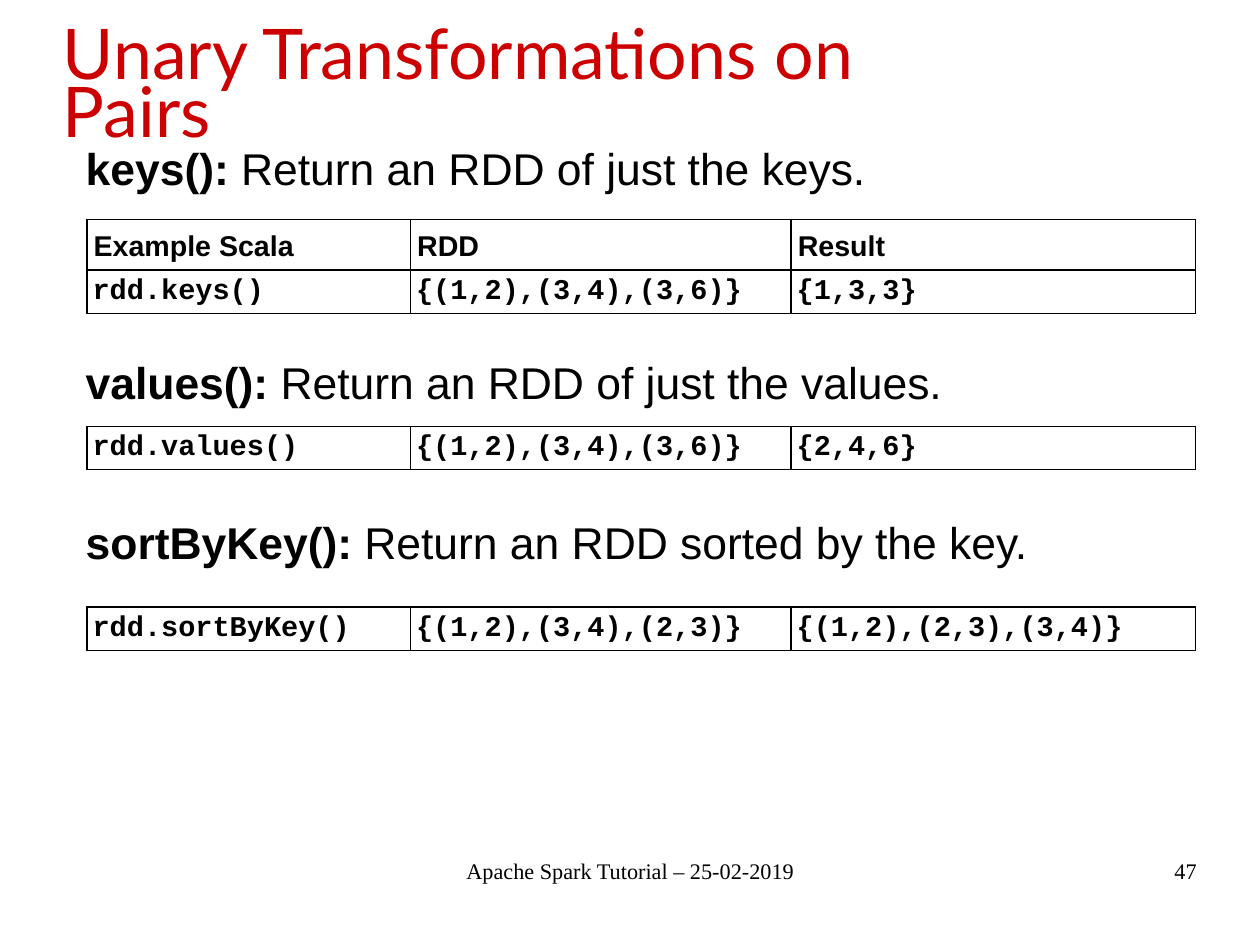
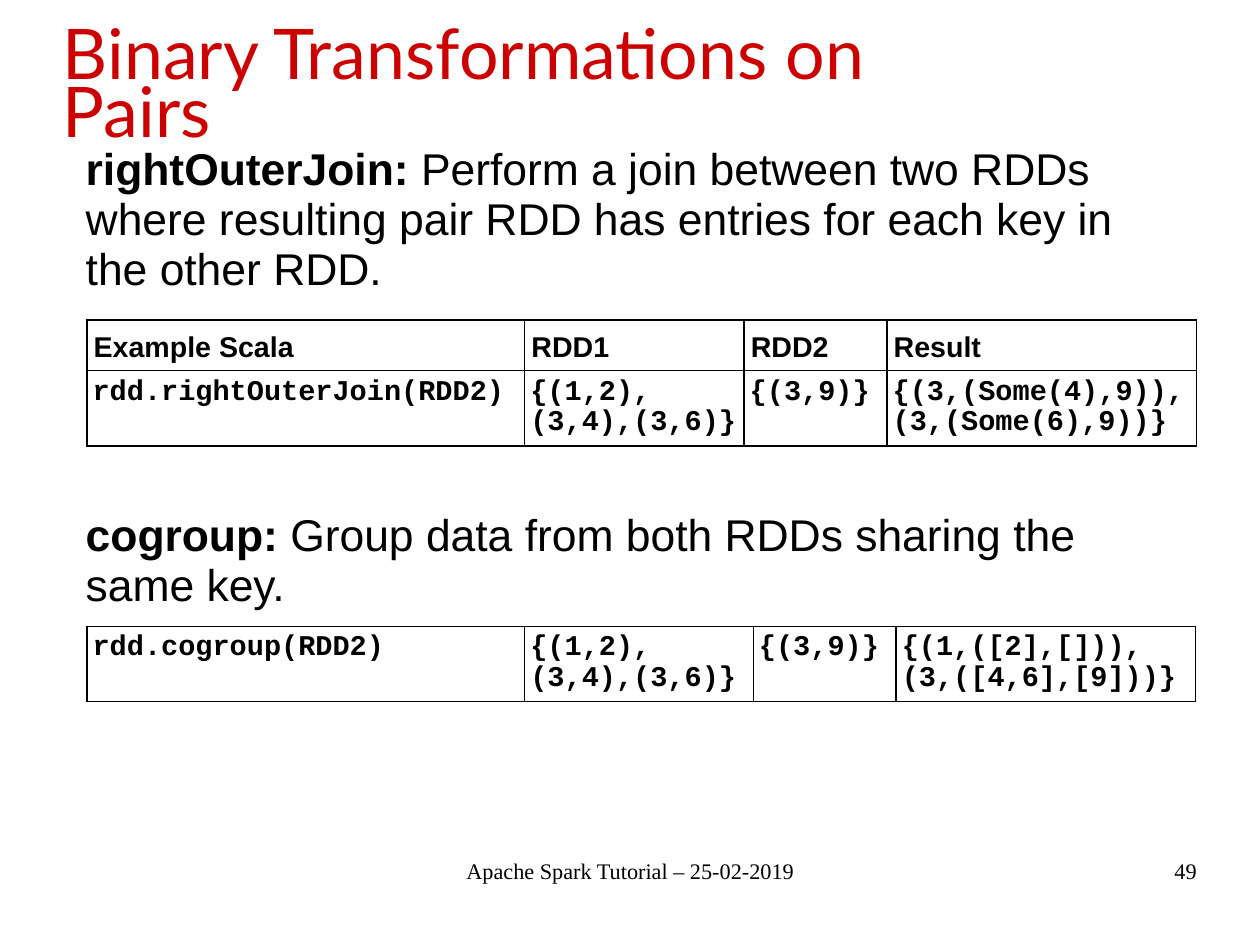
from lxml import etree
from pptx import Presentation
from pptx.dml.color import RGBColor
from pptx.enum.text import MSO_ANCHOR, MSO_AUTO_SIZE, PP_ALIGN
from pptx.oxml.ns import qn
from pptx.util import Cm, Inches, Pt

LEFT, CENTER, RIGHT = PP_ALIGN.LEFT, PP_ALIGN.CENTER, PP_ALIGN.RIGHT
MIDDLE, TOP = MSO_ANCHOR.MIDDLE, MSO_ANCHOR.TOP
NO_FIT = MSO_AUTO_SIZE.NONE

COLORS = {"title": "CC0000", "text": "000000", "border": "000000"}
SLIDE_WIDTH, SLIDE_HEIGHT = Cm(28), Cm(21)
TITLE_AREA = (0.55, 0.01, 9.92, 1.38)
FOOTER_AREA = (3.77, 7.5, 3.49, 0.57)
NUMBER_AREA = (7.9, 7.5, 2.57, 0.57)
BODY_LEFT, BODY_TOP, BODY_WIDTH = 0.65, 1.23, 9.81
TABLE_LEFT = 0.76
HEADER_HEIGHT, CODE_LINE, CODE_PADDING = 0.44, 0.28, 0.1
TIGHT = 0.93
FOOTER = "Apache Spark Tutorial – 25-02-2019"
PAIRS = "{(1,2),(3,4),(3,6)}"

# Definitions: term, explanation, space before in points.
# Tables: top, column widths, header or None, code cells, lines per code row.
UNARY_COLUMNS = (2.83, 3.33, 3.54)
PAGES = [
    {
        "title": "Unary Transformations on \vPairs",
        "number": "47",
        "body_height": 4.24,
        "definitions": [
            ("keys():", " Return an RDD of just the keys.", 0),
            ("values():", " Return an RDD of just the values.", 103.5),
            ("sortByKey():", " Return an RDD sorted by the key.", 69.5),
        ],
        "tables": [
            (1.92, UNARY_COLUMNS, ("Example Scala", "RDD", "Result"),
             ("rdd.keys()", PAIRS, "{1,3,3}"), 1),
            (3.73, UNARY_COLUMNS, None, ("rdd.values()", PAIRS, "{2,4,6}"), 1),
            (5.31, UNARY_COLUMNS, None,
             ("rdd.sortByKey()", "{(1,2),(3,4),(2,3)}", "{(1,2),(2,3),(3,4)}"), 1),
        ],
    },
    {
        "title": "Binary Transformations on \vPairs",
        "number": "49",
        "body_height": 5.12,
        "definitions": [
            ("rightOuterJoin:", " Perform a join between two RDDs where resulting pair "
             "RDD has entries for each key in the other RDD.", 0),
            ("cogroup:", " Group data from both RDDs sharing the same key.", 136.5),
        ],
        "tables": [
            (2.8, (3.83, 1.92, 1.25, 2.71), ("Example Scala", "RDD1", "RDD2", "Result"),
             ("rdd.rightOuterJoin(RDD2)", PAIRS, "{(3,9)}",
              "{(3,(Some(4),9)),\n(3,(Some(6),9))}"), 2),
            (5.48, (3.83, 2, 1.25, 2.62), None,
             ("rdd.cogroup(RDD2)", PAIRS, "{(3,9)}", "{(1,([2],[])), (3,([4,6],[9]))}"), 2),
        ],
    },
]


def place(shape, area):
    shape.left, shape.top, shape.width, shape.height = map(Inches, area)


def set_margins(target, left, top, right, bottom):
    target.margin_left, target.margin_top = Inches(left), Inches(top)
    target.margin_right, target.margin_bottom = Inches(right), Inches(bottom)


def style_span(span, name, size, color="text", bold=False):
    span.font.name, span.font.size, span.font.bold = name, Pt(size), bold
    span.font.color.rgb = RGBColor.from_string(COLORS[color])


def fill_title(title, text):
    frame = title.text_frame
    frame.text = text
    frame.auto_size, frame.vertical_anchor = NO_FIT, MIDDLE
    set_margins(frame, 0, 0.19, 0, 0)
    para = frame.paragraphs[0]
    para.alignment, para.line_spacing = LEFT, 0.69
    for span in para.runs:
        style_span(span, "Lato", 44, "title")


def fill_body(body, definitions):
    frame = body.text_frame
    frame.auto_size, frame.vertical_anchor = NO_FIT, TOP
    for index, (term, explanation, space) in enumerate(definitions):
        para = frame.add_paragraph() if index else frame.paragraphs[0]
        properties = para._p.get_or_add_pPr()
        properties.set("marL", "0")
        properties.set("indent", "0")
        etree.SubElement(properties, qn("a:buNone"))
        para.alignment, para.line_spacing, para.space_before = LEFT, TIGHT, Pt(space)
        for text, bold in ((term, True), (explanation, False)):
            span = para.add_run()
            span.text = text
            style_span(span, "Arial", 28, bold=bold)


def add_footer_text(page, area, text, alignment):
    box = page.shapes.add_textbox(*map(Inches, area))
    frame = box.text_frame
    frame.word_wrap = True
    set_margins(frame, 0, 0, 0, 0)
    frame.text = text
    para = frame.paragraphs[0]
    para.alignment = alignment
    style_span(para.runs[0], "Times New Roman", 14)


def add_borders(cell):
    properties = cell._tc.get_or_add_tcPr()
    for index, side in enumerate(("lnL", "lnR", "lnT", "lnB")):
        line = etree.Element(qn("a:" + side), w=str(Pt(1)))
        fill = etree.SubElement(line, qn("a:solidFill"))
        etree.SubElement(fill, qn("a:srgbClr"), val=COLORS["border"])
        properties.insert(index, line)


def fill_cell(cell, text, font, margin, spacing):
    cell.text = text
    cell.fill.background()
    add_borders(cell)
    set_margins(cell, margin, margin, margin, margin)
    for para in cell.text_frame.paragraphs:
        para.line_spacing = spacing
        for span in para.runs:
            style_span(span, font, 18, bold=True)


def add_code_table(page, top, columns, header, code, lines):
    rows = [(code, CODE_PADDING + CODE_LINE * lines, ("Courier New", 0.05, TIGHT))]
    if header:
        rows.insert(0, (header, HEADER_HEIGHT, ("Arial", 0.06, 1.15)))
    height = sum(row[1] for row in rows)
    table = page.shapes.add_table(
        len(rows), len(columns), Inches(TABLE_LEFT), Inches(top),
        Inches(sum(columns)), Inches(height)).table
    table.first_row = bool(header)
    table.horz_banding = False
    for column, width in zip(table.columns, columns):
        column.width = Inches(width)
    for row, (texts, row_height, style) in zip(table.rows, rows):
        row.height = Inches(row_height)
        for cell, text in zip(row.cells, texts):
            fill_cell(cell, text, *style)


def main():
    deck = Presentation()
    deck.slide_width, deck.slide_height = SLIDE_WIDTH, SLIDE_HEIGHT
    layout = deck.slide_layouts[1]
    place(layout.placeholders[0], TITLE_AREA)
    for content in PAGES:
        page = deck.slides.add_slide(layout)
        title, body = page.placeholders
        fill_title(title, content["title"])
        place(body, (BODY_LEFT, BODY_TOP, BODY_WIDTH, content["body_height"]))
        fill_body(body, content["definitions"])
        for table in content["tables"]:
            add_code_table(page, *table)
        add_footer_text(page, FOOTER_AREA, FOOTER, CENTER)
        add_footer_text(page, NUMBER_AREA, content["number"], RIGHT)
    deck.save("out.pptx")


if __name__ == "__main__":
    main()
